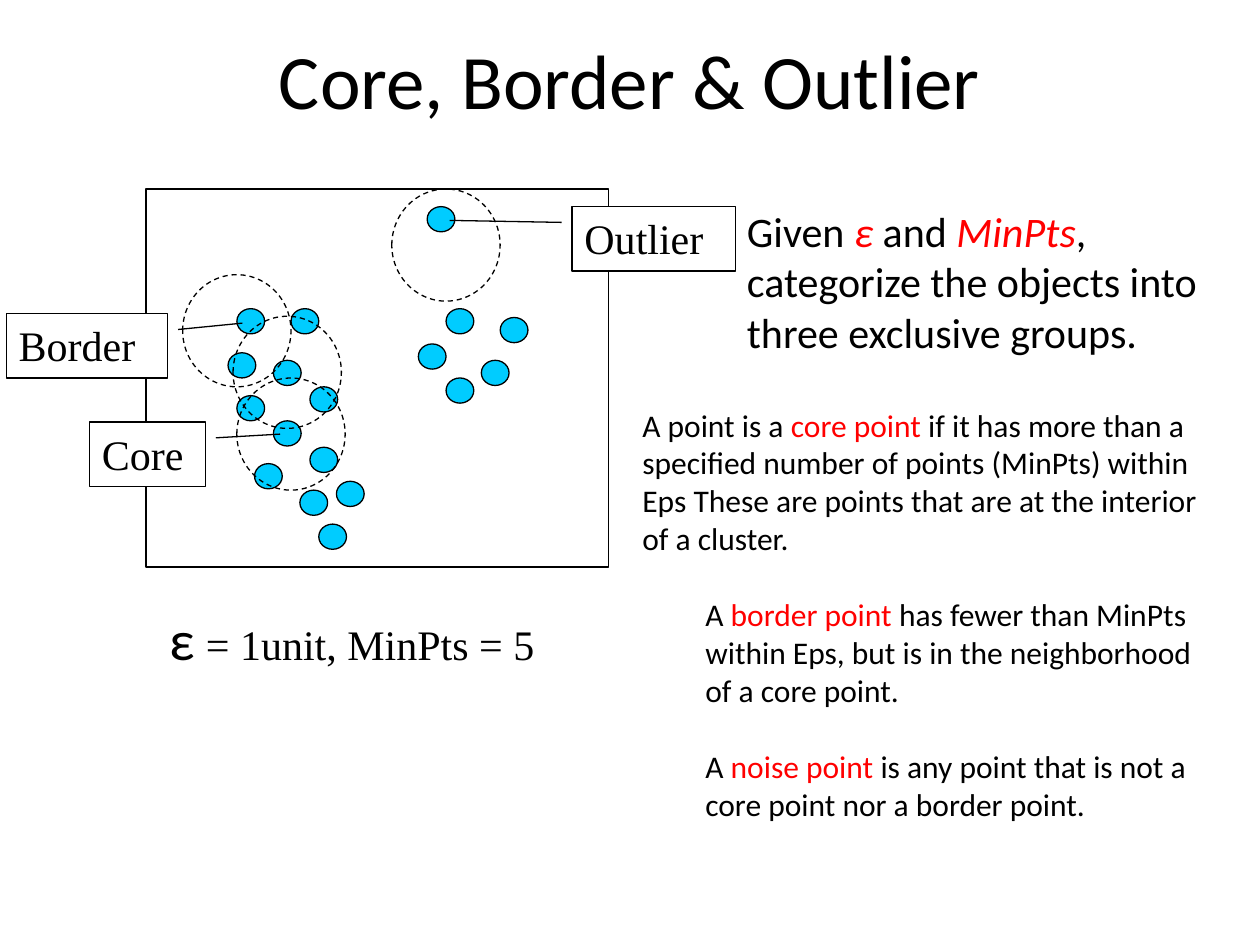
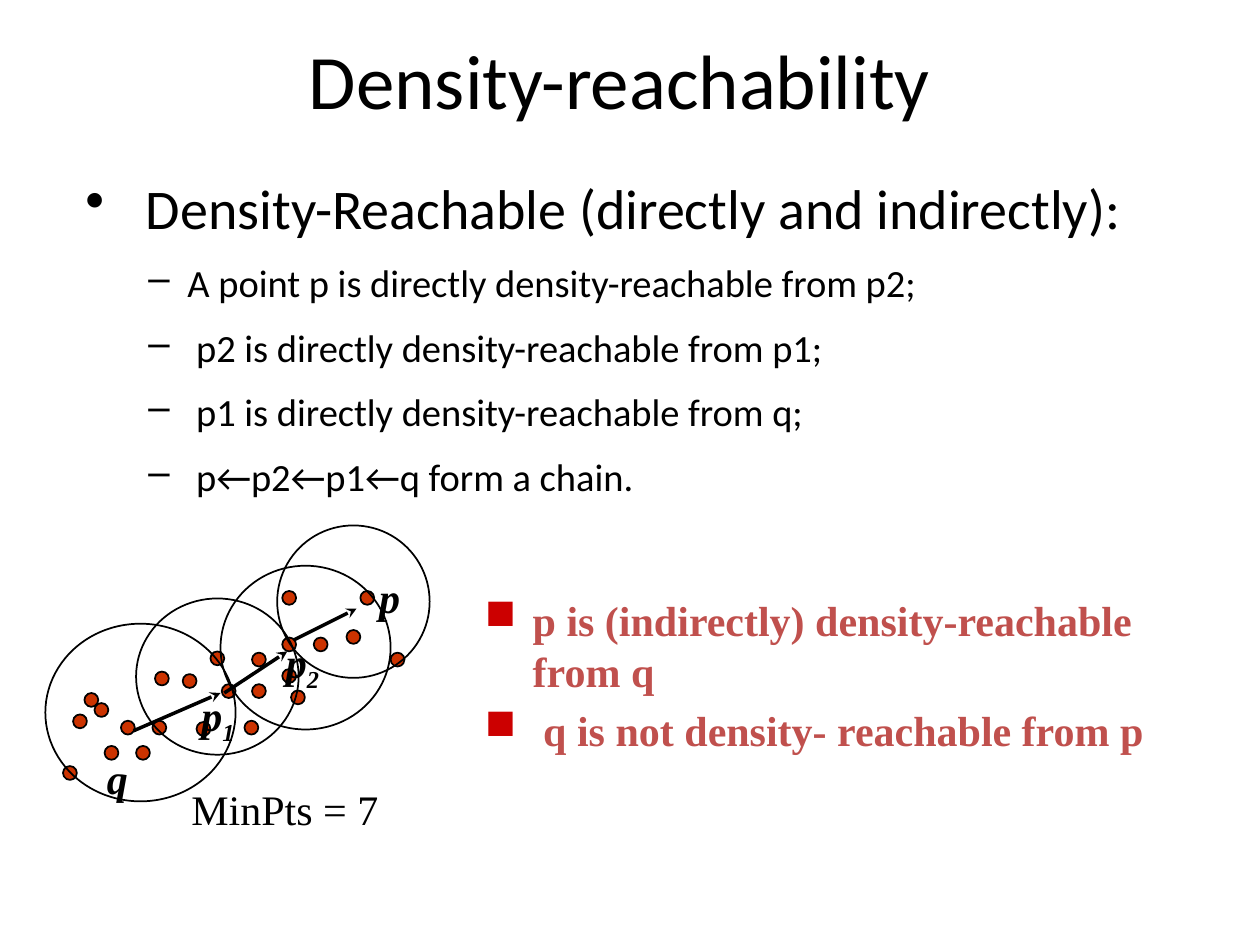
from pptx import Presentation
from pptx.dml.color import RGBColor
from pptx.enum.dml import MSO_LINE
from pptx.enum.shapes import MSO_CONNECTOR, MSO_SHAPE
from pptx.enum.text import MSO_ANCHOR, PP_ALIGN
from pptx.oxml.ns import qn
from pptx.util import Pt
from lxml import etree

PX = 9144
TITLE_ONLY = 5
BLACK = RGBColor(0x00, 0x00, 0x00)
WHITE = RGBColor(0xFF, 0xFF, 0xFF)
RED = RGBColor(0xFF, 0x00, 0x00)
CYAN = RGBColor(0x00, 0xCC, 0xFF)
RUST = RGBColor(0xCC, 0x33, 0x00)
BULLET_RED = RGBColor(0xCC, 0x00, 0x00)
BRICK = RGBColor(0xC0, 0x50, 0x4D)
SANS = "Calibri"
SERIF = "Times New Roman"
OVAL = MSO_SHAPE.OVAL
RECTANGLE = MSO_SHAPE.RECTANGLE
CALLOUT = MSO_SHAPE.LINE_CALLOUT_1
STRAIGHT = MSO_CONNECTOR.STRAIGHT
DASH = MSO_LINE.DASH
TOP, MIDDLE = MSO_ANCHOR.TOP, MSO_ANCHOR.MIDDLE
LEFT, CENTER = PP_ALIGN.LEFT, PP_ALIGN.CENTER


class Board:
    def __init__(self, deck):
        self.deck = deck
        self.page = None
        self.base = {"name": SANS, "size": Pt(24), "bold": False, "italic": False}

    def start(self, title, left):
        self.page = self.deck.slides.add_slide(self.deck.slide_layouts[TITLE_ONLY])
        box = self.page.shapes.title
        place = {"left": left, "top": 0, "width": 850, "height": 125}
        for name, value in place.items():
            setattr(box, name, value * PX)
        self.fill_frame(box.text_frame, [([title], {"align": CENTER})], MIDDLE, size=Pt(44))

    def fill_frame(self, frame, paragraphs, anchor=TOP, **style):
        frame.word_wrap = True
        frame.vertical_anchor = anchor
        for number, (spans, layout) in enumerate(paragraphs):
            para = frame.paragraphs[0] if number == 0 else frame.add_paragraph()
            para.alignment = layout.get("align", LEFT)
            para.space_before = Pt(layout.get("before", 0))
            properties = para._p.get_or_add_pPr()
            properties.set("marL", str(layout.get("margin", 0) * PX))
            properties.set("indent", str(layout.get("indent", 0) * PX))
            if "bullet" in layout:
                self.bullet(properties, layout["bullet"], layout.get("tint", BLACK))
            for span in spans:
                text, change = (span, {}) if isinstance(span, str) else span
                self.span(para, text, {**self.base, **style, **layout.get("font", {}), **change})

    def bullet(self, properties, mark, tint):
        color = etree.SubElement(properties, qn("a:buClr"))
        etree.SubElement(color, qn("a:srgbClr")).set("val", str(tint))
        etree.SubElement(properties, qn("a:buChar")).set("char", mark)

    def span(self, para, text, style):
        run = para.add_run()
        run.text = text
        run.font.color.rgb = style.pop("color", BLACK)
        if style.pop("subscript", False):
            run._r.get_or_add_rPr().set("baseline", "-25000")
        for name, value in style.items():
            setattr(run.font, name, value)

    def text(self, left, top, width, height, paragraphs, **style):
        box = self.page.shapes.add_textbox(left * PX, top * PX, width * PX, height * PX)
        self.fill_frame(box.text_frame, paragraphs, **style)

    def shape(self, kind, left, top, width, height, fill=None, weight=0.75, dash=None):
        shape = self.page.shapes.add_shape(kind, left * PX, top * PX, width * PX, height * PX)
        shape.shadow.inherit = False
        if fill is None:
            shape.fill.background()
        else:
            shape.fill.solid()
            shape.fill.fore_color.rgb = fill
        shape.line.color.rgb = BLACK
        shape.line.width = Pt(weight)
        shape.line.dash_style = dash
        return shape

    def ovals(self, corners, width, height, **look):
        for left, top in corners:
            self.shape(OVAL, left, top, width, height, **look)

    def callout(self, word, left, top, width, leader):
        box = self.shape(CALLOUT, left, top, width, 51, fill=WHITE)
        for number, value in enumerate(leader):
            box.adjustments[number] = value
        self.fill_frame(box.text_frame, [([word], {})], name=SERIF)

    def arrow(self, start, end):
        points = [value * PX for value in (*start, *end)]
        line = self.page.shapes.add_connector(STRAIGHT, *points)
        line.line.color.rgb = BLACK
        line.line.width = Pt(2)
        etree.SubElement(line.line._get_or_add_ln(), qn("a:tailEnd")).set("type", "stealth")
        etree.SubElement(line._element.spPr, qn("a:effectLst"))


def build_point_kinds(board):
    board.start("Core, Border & Outlier", 75)
    keyword = {"color": RED, "italic": True}
    board.text(583, 158, 400, 175, [([
        "Given ", ("ε", keyword), " and ", ("MinPts", keyword),
        ", categorize the objects into three exclusive groups."], {})])
    board.text(125, 475, 317, 63, [([
        ("ε", {"name": SANS, "size": Pt(32)}), " = 1unit, MinPts = 5"], {})], name=SERIF)

    left_cluster = [(188, 245), (181, 280), (217, 286), (231, 245), (246, 307), (188, 314),
                    (217, 334), (202, 368), (238, 389), (253, 416), (246, 355), (267, 382)]
    right_cluster = [(354, 245), (332, 273), (382, 286), (397, 252), (354, 300)]
    outlier = (339, 164)
    board.ovals([*left_cluster, *right_cluster, outlier], 22, 20, fill=CYAN)
    board.shape(RECTANGLE, 116, 150, 367, 300)
    neighborhoods = [(145, 218), (188, 300), (311, 150), (185, 251)]
    board.ovals(neighborhoods, 86, 89, dash=DASH)

    board.callout("Core", 71, 335, 92, (0.245, 1.09, 0.187, 1.644))
    board.callout("Border", 5, 249, 128, (0.245, 1.065, 0.146, 1.464))
    board.callout("Outlier", 454, 164, 130, (0.245, -0.064, 0.214, -0.747))

    definitions = [
        ("A point is a ", "core point", " if it has more than a specified number of points "
         "(MinPts) within Eps These are points that are at the interior of a cluster."),
        ("A ", "border point", " has fewer than MinPts within Eps, "
         "but is in the neighborhood of a core point."),
        ("A ", "noise point", " is any point that is not a core point nor a border point."),
    ]
    nested = {"margin": 50, "before": 22}
    board.text(500, 317, 467, 340, [
        ([opening, (term, {"color": RED}), rest], nested if number else {})
        for number, (opening, term, rest) in enumerate(definitions)], size=Pt(18))


def build_reachability(board):
    board.start("Density-reachability", 67)
    heading = {"margin": 38, "indent": -38, "bullet": "•", "font": {"size": Pt(32)}}
    step = {"margin": 81, "indent": -31, "bullet": "–", "before": 10.5}
    steps = ["A point p is directly density-reachable from p2;",
             " p2 is directly density-reachable from p1;",
             " p1 is directly density-reachable from q;",
             " p←p2←p1←q form a chain."]
    board.text(58, 133, 850, 450, [
        ([" Density-Reachable (directly and indirectly):"], heading),
        *[([line], step) for line in steps]], size=Pt(22))

    points = [(108, 592), (224, 506), (224, 469), (176, 543), (200, 518), (200, 543),
              (58, 567), (275, 500), (310, 518), (286, 469), (224, 531), (249, 506),
              (75, 558), (83, 592), (50, 608), (145, 535), (96, 572), (123, 533),
              (121, 572), (67, 550), (231, 548), (156, 573), (167, 517), (194, 572)]
    board.ovals(points, 11, 11, fill=RUST, weight=1)
    neighborhoods = [(175, 449, 135, 130), (108, 475, 129, 124),
                     (220, 417, 121, 121), (36, 495, 151, 141)]
    for left, top, width, height in neighborhoods:
        board.shape(OVAL, left, top, width, height, weight=1)

    labels = [("p", "", 291, 449, 42), ("q", "", 75, 592, 42),
              ("p", "2", 217, 500, 67), ("p", "1", 150, 542, 67)]
    for letter, index, left, top, width in labels:
        spans = [letter, (index, {"subscript": True})] if index else [letter]
        board.text(left, top, width, 50, [(spans, {})], name=SERIF, bold=True, italic=True)

    for start, end in [((106, 580), (175, 550)), ((178, 550), (228, 517)),
                       ((233, 508), (283, 483))]:
        board.arrow(start, end)

    square = {"margin": 38, "indent": -38, "bullet": "■", "tint": BULLET_RED}
    board.text(375, 467, 567, 208, [
        (["p is (indirectly) density-reachable from q"], square),
        ([" q is not density- reachable from p"], {**square, "before": 5})],
        name=SERIF, bold=True, color=BRICK)
    board.text(142, 617, 317, 50, [(["MinPts = 7"], {})], name=SERIF)


def main():
    deck = Presentation()
    deck.slide_width, deck.slide_height = 1000 * PX, 750 * PX
    board = Board(deck)
    build_point_kinds(board)
    build_reachability(board)
    deck.save("out.pptx")


if __name__ == "__main__":
    main()
